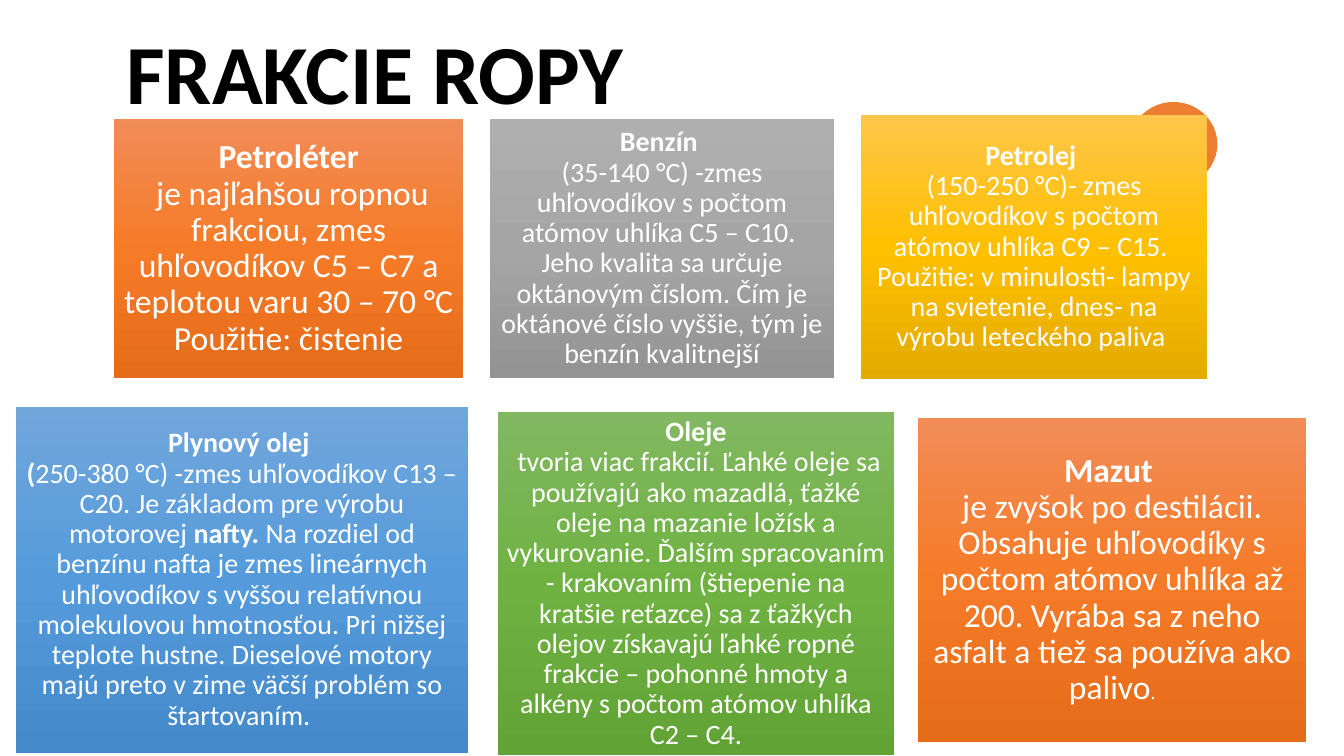
from copy import deepcopy
from dataclasses import dataclass
from typing import Optional

from pptx import Presentation
from pptx.dml.color import RGBColor
from pptx.enum.shapes import MSO_SHAPE
from pptx.enum.text import MSO_ANCHOR, MSO_AUTO_SIZE, PP_ALIGN
from pptx.oxml.ns import qn
from pptx.shapes.autoshape import Shape
from pptx.slide import Slide
from pptx.util import Cm, Pt

FONT = "Calibri"
BLACK = RGBColor(0x00, 0x00, 0x00)
WHITE = RGBColor(0xFF, 0xFF, 0xFF)
ACCENT = RGBColor(0xED, 0x7D, 0x31)
ORANGE = (RGBColor(0xF1, 0x8C, 0x57), RGBColor(0xF6, 0x7B, 0x28), RGBColor(0xE5, 0x6C, 0x19))
GRAY = (RGBColor(0xAF, 0xAF, 0xAF), RGBColor(0xA5, 0xA5, 0xA5), RGBColor(0x93, 0x93, 0x93))
YELLOW = (RGBColor(0xFF, 0xC6, 0x4B), RGBColor(0xFF, 0xC0, 0x00), RGBColor(0xE3, 0xAB, 0x00))
BLUE = (RGBColor(0x71, 0xA6, 0xDB), RGBColor(0x55, 0x9B, 0xDB), RGBColor(0x44, 0x8A, 0xCA))
GREEN = (RGBColor(0x81, 0xB8, 0x61), RGBColor(0x6F, 0xB2, 0x42), RGBColor(0x62, 0xA3, 0x36))


@dataclass(frozen=True)
class Span:
    text: str
    bold: bool = False
    size: Optional[float] = None


@dataclass(frozen=True)
class Fraction:
    box: tuple[float, float, float, float]
    colors: tuple[RGBColor, RGBColor, RGBColor]
    size: float
    inset: float
    spans: tuple[Span, ...]


FRACTIONS = (
    Fraction((2.87, 3, 8.81, 6.53), ORANGE, 24, 0.25, (
        Span("Petroléter\n", True),
        Span(" je najľahšou ropnou frakciou, zmes uhľovodíkov C5 – C7 a teplotou varu "
             "30 – 70 °C\nPoužitie: čistenie"),
    )),
    Fraction((12.34, 3, 8.69, 6.53), GRAY, 20, 0.2, (
        Span("Benzín \n", True),
        Span("(35-140 °C) -zmes uhľovodíkov s počtom atómov uhlíka C5 – C10. \n"
             "Jeho kvalita sa určuje oktánovým číslom. Čím je oktánové číslo vyššie, "
             "tým je benzín kvalitnejší"),
    )),
    Fraction((21.69, 2.9, 8.74, 6.65), YELLOW, 20, 0.2, (
        Span("Petrolej \n", True),
        Span("(150-250 °C)- zmes uhľovodíkov s počtom atómov uhlíka C9 – C15. \n"
             "Použitie: v minulosti- lampy na svietenie, dnes- na výrobu leteckého paliva "),
    )),
    Fraction((0.41, 10.26, 11.38, 8.71), BLUE, 20, 0.2, (
        Span("Plynový olej \n(", True),
        Span("250-380 °C) -zmes uhľovodíkov C13 – C20. Je základom pre výrobu motorovej "),
        Span("nafty.", True),
        Span(" Na rozdiel od benzínu nafta je zmes lineárnych uhľovodíkov s vyššou "
             "relatívnou molekulovou hmotnosťou. Pri nižšej teplote hustne. Dieselové "
             "motory majú preto v zime väčší problém so štartovaním. "),
    )),
    Fraction((12.55, 10.39, 9.98, 8.64), GREEN, 20, 0.2, (
        Span("Oleje\n", True),
        Span(" tvoria viac frakcií. Ľahké oleje sa používajú ako mazadlá, ťažké oleje na "
             "mazanie ložísk a vykurovanie. Ďalším spracovaním - krakovaním (štiepenie na "
             "kratšie reťazce) sa z ťažkých olejov získavajú ľahké ropné frakcie – pohonné "
             "hmoty a alkény s počtom atómov uhlíka C2 – C4."),
    )),
    Fraction((23.14, 10.54, 9.78, 8.15), ORANGE, 24, 0.25, (
        Span("Mazut \n", True),
        Span("je zvyšok po destilácii. Obsahuje uhľovodíky s počtom atómov uhlíka až 200. "
             "Vyrába sa z neho asfalt a tiež sa používa ako palivo"),
        Span(".", size=14),
    )),
)


def write_spans(shape: Shape, spans: tuple[Span, ...], size: float, color: RGBColor,
                inset: float) -> None:
    tf = shape.text_frame
    frame_format = {
        "word_wrap": True,
        "auto_size": MSO_AUTO_SIZE.NONE,
        "vertical_anchor": MSO_ANCHOR.MIDDLE,
        "margin_left": Cm(inset),
        "margin_top": Cm(inset),
        "margin_right": Cm(inset),
        "margin_bottom": Cm(inset),
    }
    for name, value in frame_format.items():
        setattr(tf, name, value)
    p = tf.paragraphs[0]
    p.alignment = PP_ALIGN.CENTER
    p.line_spacing = 0.9
    for span in spans:
        for i, line in enumerate(span.text.split("\n")):
            if i:
                p.add_line_break()
            if not line:
                continue
            r = p.add_run()
            r.text = line
            run_format = {"name": FONT, "size": Pt(span.size or size), "bold": span.bold}
            for name, value in run_format.items():
                setattr(r.font, name, value)
            r.font.color.rgb = color


def fill_gradient(shape: Shape, colors: tuple[RGBColor, ...]) -> None:
    fill = shape.fill
    fill.gradient()
    fill.gradient_angle = 270
    stops = shape._element.spPr.find(qn("a:gradFill")).find(qn("a:gsLst"))
    stops.insert(1, deepcopy(stops[0]))
    for i, (stop, color) in enumerate(zip(fill.gradient_stops, colors)):
        stop.position = i / (len(colors) - 1)
        stop.color.rgb = color


def add_plain_shape(s: Slide, kind: MSO_SHAPE, box: tuple[float, ...]) -> Shape:
    sp = s.shapes.add_shape(kind, *map(Cm, box))
    sp.shadow.inherit = False
    sp.line.fill.background()
    return sp


def add_fraction(s: Slide, fraction: Fraction) -> None:
    sp = add_plain_shape(s, MSO_SHAPE.RECTANGLE, fraction.box)
    fill_gradient(sp, fraction.colors)
    write_spans(sp, fraction.spans, fraction.size, WHITE, fraction.inset)


def main() -> None:
    prs = Presentation()
    prs.slide_width, prs.slide_height = Cm(33.87), Cm(19.05)
    s = prs.slides.add_slide(prs.slide_layouts[5])

    title = s.shapes.title
    title_box = {"left": 1.96, "top": 0.3, "width": 14.99, "height": 3.3}
    for name, value in title_box.items():
        setattr(title, name, Cm(value))
    write_spans(title, (Span("FRAKCIE ROPY", True),), 60, BLACK, 0.25)

    circle = add_plain_shape(s, MSO_SHAPE.OVAL, (28.47, 2.57, 2.21, 2.13))
    circle.fill.solid()
    circle.fill.fore_color.rgb = ACCENT

    for fraction in FRACTIONS:
        add_fraction(s, fraction)
    prs.save("out.pptx")


if __name__ == "__main__":
    main()
